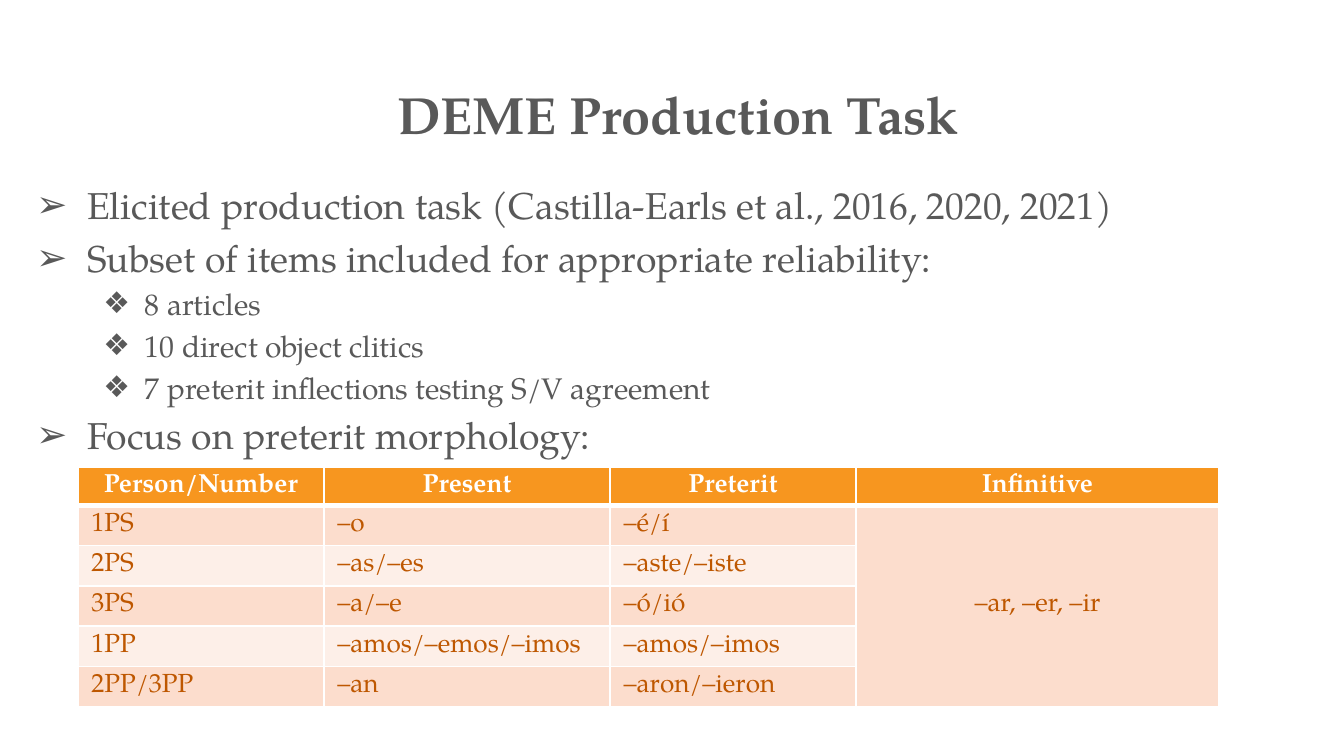
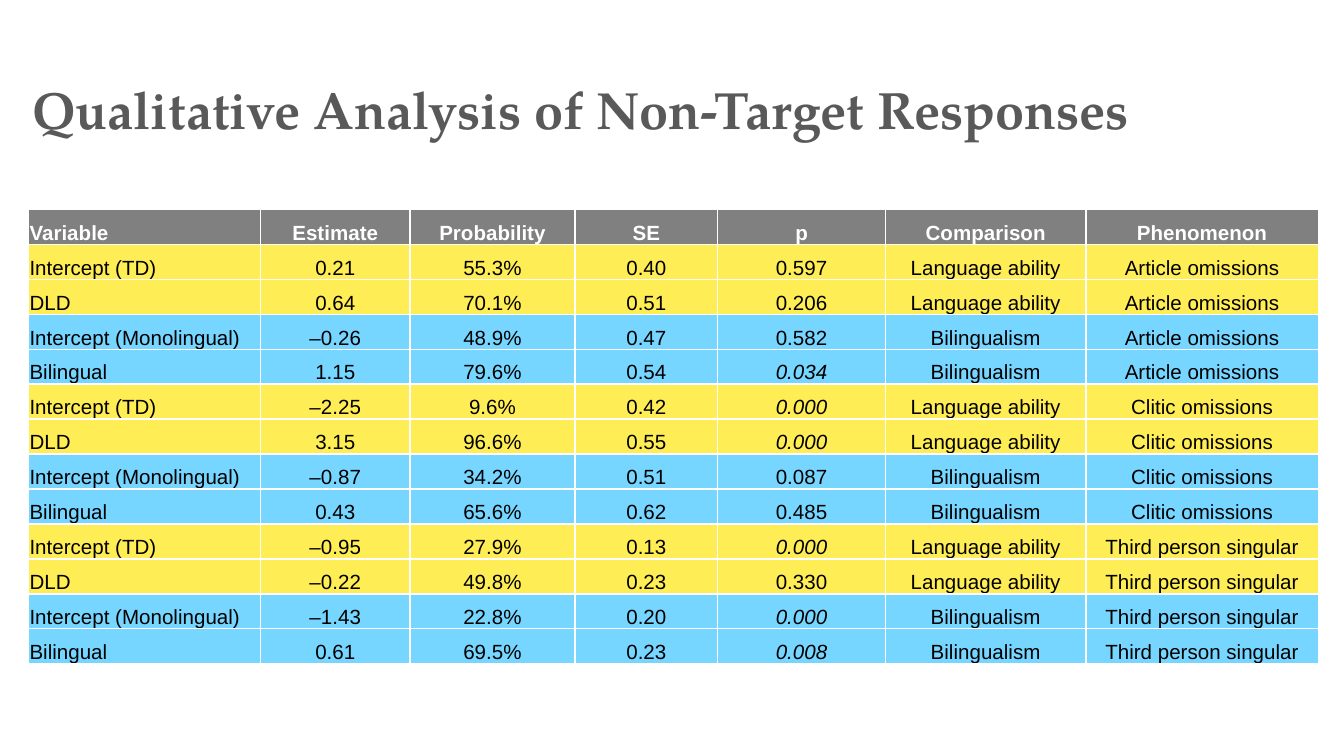
from lxml import etree
from pptx import Presentation
from pptx.dml.color import RGBColor
from pptx.enum.text import MSO_ANCHOR, PP_ALIGN
from pptx.oxml.ns import qn
from pptx.util import Inches, Pt

LEFT, CENTER = PP_ALIGN.LEFT, PP_ALIGN.CENTER
TOP, MIDDLE, BOTTOM = MSO_ANCHOR.TOP, MSO_ANCHOR.MIDDLE, MSO_ANCHOR.BOTTOM

SERIF, SANS = "TeX Gyre Pagella", "Arial"
WHITE = RGBColor(0xFF, 0xFF, 0xFF)
BLACK = RGBColor(0x00, 0x00, 0x00)
TEXT_GRAY = RGBColor(0x59, 0x59, 0x59)
HEADER_GRAY = RGBColor(0x80, 0x80, 0x80)
ORANGE = RGBColor(0xF7, 0x96, 0x1F)
DARK_ORANGE = RGBColor(0xBE, 0x57, 0x00)
PEACH = RGBColor(0xFC, 0xDD, 0xCD)
PALE_PEACH = RGBColor(0xFD, 0xEF, 0xE8)
YELLOW = RGBColor(0xFF, 0xED, 0x56)
BLUE = RGBColor(0x76, 0xD6, 0xFF)

TASK_TITLE = "DEME Production Task"
TASK_POINTS = [
    (0, "Elicited production task (Castilla-Earls et al., 2016, 2020, 2021)"),
    (0, "Subset of items included for appropriate reliability:"),
    (1, "8 articles"),
    (1, "10 direct object clitics"),
    (1, "7 preterit inflections testing S/V agreement"),
    (0, "Focus on preterit morphology:"),
]
# Per level: bullet, size in points, left indent, hanging indent
LEVELS = [("➢", 20, 0.38, 0.38), ("❖", 16, 0.81, 0.31)]

MORPHOLOGY = [
    ("Person/Number", "Present", "Preterit", "Infinitive"),
    ("1PS", "–o", "–é/í", "–ar, –er, –ir"),
    ("2PS", "–as/–es", "–aste/–iste", ""),
    ("3PS", "–a/–e", "–ó/ió", ""),
    ("1PP", "–amos/–emos/–imos", "–amos/–imos", ""),
    ("2PP/3PP", "–an", "–aron/–ieron", ""),
]
MORPHOLOGY_COLS = [1.83, 2.13, 1.83, 2.7]
MORPHOLOGY_ROWS = [0.28] + [0.3] * 5
INFINITIVE_COL = 3

ANALYSIS_TITLE = "Qualitative Analysis of Non-Target Responses"
ANALYSIS_HEADER = ("Variable", "Estimate", "Probability", "SE", "p",
                   "Comparison", "Phenomenon")
# Each comparison covers two variables; each phenomenon covers both comparisons
COMPARISONS = [
    ("Language ability", YELLOW, ("Intercept (TD)", "DLD")),
    ("Bilingualism", BLUE, ("Intercept (Monolingual)", "Bilingual")),
]
RESULTS = {
    "Article omissions": [
        ("0.21", "55.3%", "0.40", "0.597"),
        ("0.64", "70.1%", "0.51", "0.206"),
        ("–0.26", "48.9%", "0.47", "0.582"),
        ("1.15", "79.6%", "0.54", "0.034"),
    ],
    "Clitic omissions": [
        ("–2.25", "9.6%", "0.42", "0.000"),
        ("3.15", "96.6%", "0.55", "0.000"),
        ("–0.87", "34.2%", "0.51", "0.087"),
        ("0.43", "65.6%", "0.62", "0.485"),
    ],
    "Third person singular": [
        ("–0.95", "27.9%", "0.13", "0.000"),
        ("–0.22", "49.8%", "0.23", "0.330"),
        ("–1.43", "22.8%", "0.20", "0.000"),
        ("0.61", "69.5%", "0.23", "0.008"),
    ],
}
ANALYSIS_COLS = [1.73, 1.11, 1.23, 1.06, 1.25, 1.49, 1.73]
ANALYSIS_ROW = 0.26
P_COL = 4
SIGNIFICANCE = 0.05


def style(p, font, size, color, bold=False, italic=False, align=LEFT):
    p.alignment = align
    p.font.name = font
    p.font.size = Pt(size)
    p.font.color.rgb = color
    p.font.bold = bold
    p.font.italic = italic


def add_text_box(slide, left, top, width, height, anchor=TOP):
    box = slide.shapes.add_textbox(*map(Inches, (left, top, width, height)))
    tf = box.text_frame
    tf.word_wrap = True
    tf.vertical_anchor = anchor
    return tf


def add_title(slide, text, left, top, align=LEFT):
    p = add_text_box(slide, left, top, 9.75, 0.61, MIDDLE).paragraphs[0]
    p.text = text
    style(p, SERIF, 28, TEXT_GRAY, bold=True, align=align)


def add_bullets(tf, points):
    for i, (level, text) in enumerate(points):
        bullet, size, indent, hanging = LEVELS[level]
        p = tf.add_paragraph() if i else tf.paragraphs[0]
        p.text = text
        p.level = level
        p.space_before = Pt(size * 0.2)
        style(p, SERIF, size, TEXT_GRAY)
        pPr = p._p.get_or_add_pPr()
        pPr.set("marL", str(Inches(indent)))
        pPr.set("indent", str(-Inches(hanging)))
        font = etree.Element(qn("a:buFont"), typeface=SANS)
        char = etree.Element(qn("a:buChar"), char=bullet)
        pPr.find(qn("a:spcBef")).addnext(font)
        font.addnext(char)


def add_grid(slide, left, top, cols, rows):
    sp = slide.shapes.add_table(len(rows), len(cols), Inches(left), Inches(top),
                                Inches(sum(cols)), Inches(sum(rows)))
    table = sp.table
    table.horz_banding = False
    for column, width in zip(table.columns, cols):
        column.width = Inches(width)
    for row, height in zip(table.rows, rows):
        row.height = Inches(height)
    return table


def set_cell(cell, text, fill, anchor, margins, top_line=1, bottom_line=1):
    """Fill a cell, give it white borders and return its paragraph."""
    cell.fill.solid()
    cell.fill.fore_color.rgb = fill
    cell.vertical_anchor = anchor
    (cell.margin_left, cell.margin_top,
     cell.margin_right, cell.margin_bottom) = map(Inches, margins)
    tcPr = cell._tc.get_or_add_tcPr()
    edges = [("L", 1), ("R", 1), ("T", top_line), ("B", bottom_line)]
    for i, (side, width) in enumerate(edges):
        ln = etree.Element(qn(f"a:ln{side}"), w=str(Pt(width)))
        solid = etree.SubElement(ln, qn("a:solidFill"))
        etree.SubElement(solid, qn("a:srgbClr"), val=str(WHITE))
        tcPr.insert(i, ln)
    p = cell.text_frame.paragraphs[0]
    p.text = text
    return p


def add_morphology_table(slide):
    table = add_grid(slide, 0.58, 3.48, MORPHOLOGY_COLS, MORPHOLOGY_ROWS)
    for r, row in enumerate(MORPHOLOGY):
        header = r == 0
        for c, text in enumerate(row):
            centered = header or c == INFINITIVE_COL
            striped = r % 2 or c == INFINITIVE_COL
            fill = ORANGE if header else PEACH if striped else PALE_PEACH
            anchor, pad_top, pad_bottom = ((MIDDLE, 0.02, 0.02) if centered
                                           else (TOP, 0.05, 0.01))
            p = set_cell(table.cell(r, c), text, fill, anchor,
                         (0.1, pad_top, 0.1, pad_bottom),
                         top_line=3 if r == 1 else 1,
                         bottom_line=3 if header else 1)
            style(p, SERIF, 14, WHITE if header else DARK_ORANGE, bold=header,
                  align=CENTER if centered else LEFT)
    last = len(MORPHOLOGY) - 1
    table.cell(1, INFINITIVE_COL).merge(table.cell(last, INFINITIVE_COL))


def analysis_rows():
    """Return (fill, cell texts) for the header and every result."""
    rows = [(HEADER_GRAY, ANALYSIS_HEADER)]
    for phenomenon, results in RESULTS.items():
        values = iter(results)
        for comparison, fill, variables in COMPARISONS:
            for variable in variables:
                rows.append((fill, (variable, *next(values), comparison, phenomenon)))
    return rows


def add_analysis_table(slide):
    rows = analysis_rows()
    table = add_grid(slide, 0.21, 1.56, ANALYSIS_COLS, [ANALYSIS_ROW] * len(rows))
    for r, (fill, texts) in enumerate(rows):
        header = r == 0
        for c, text in enumerate(texts):
            significant = not header and c == P_COL and float(text) < SIGNIFICANCE
            p = set_cell(table.cell(r, c), text, fill, BOTTOM, (0.01, 0.01, 0.01, 0))
            style(p, SANS, 11, WHITE if header else BLACK, bold=header,
                  italic=significant, align=CENTER if c else LEFT)


def main():
    prs = Presentation()
    prs.slide_width = Inches(10)
    prs.slide_height = prs.slide_width * 9 // 16
    blank = prs.slide_layouts[6]

    slide = prs.slides.add_slide(blank)
    add_bullets(add_text_box(slide, 0.17, 1.31, 9.75, 4.07), TASK_POINTS)
    add_title(slide, TASK_TITLE, 0.17, 0.54, CENTER)
    add_morphology_table(slide)

    slide = prs.slides.add_slide(blank)
    add_title(slide, ANALYSIS_TITLE, 0.14, 0.5)
    add_analysis_table(slide)

    prs.save("out.pptx")


if __name__ == "__main__":
    main()
